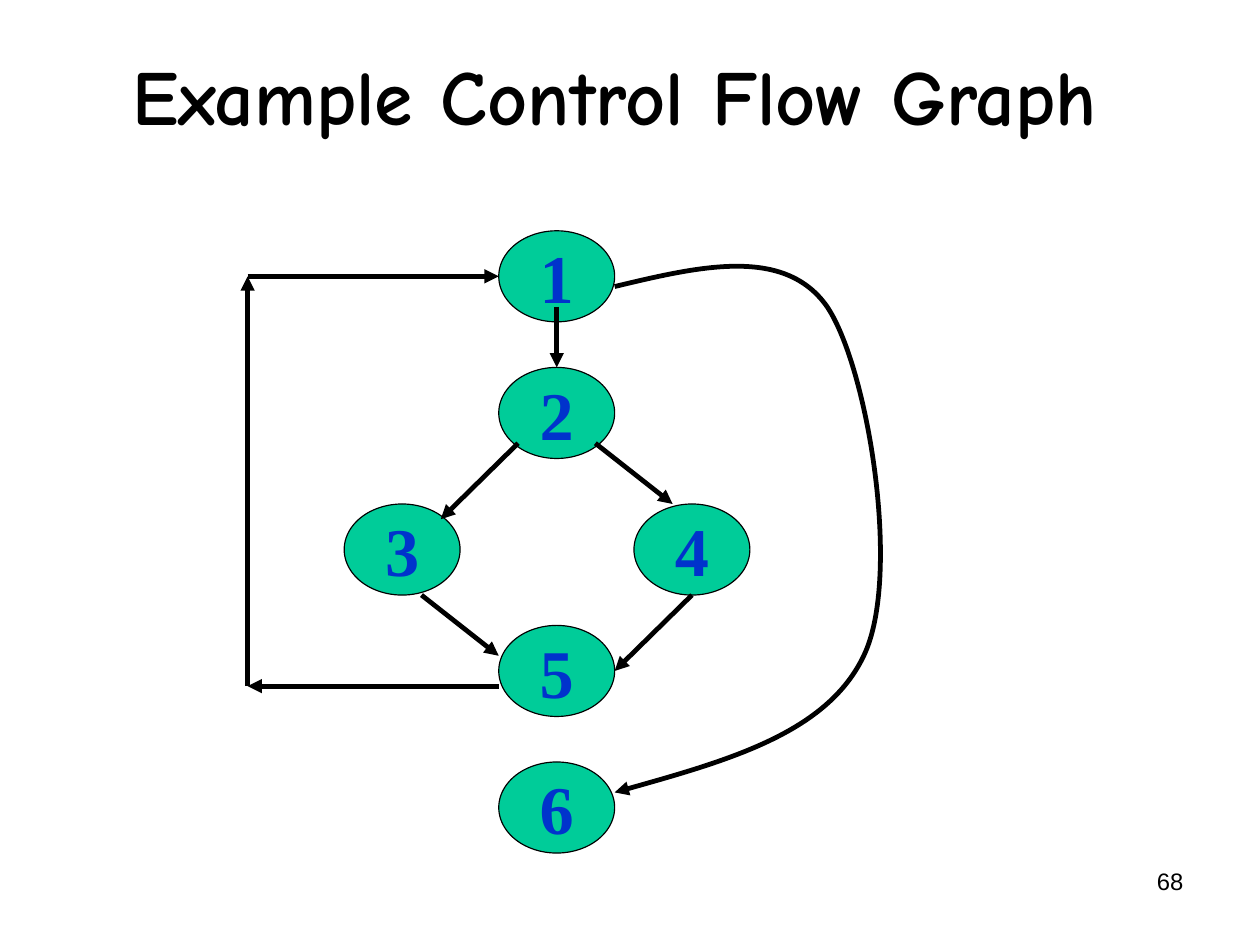
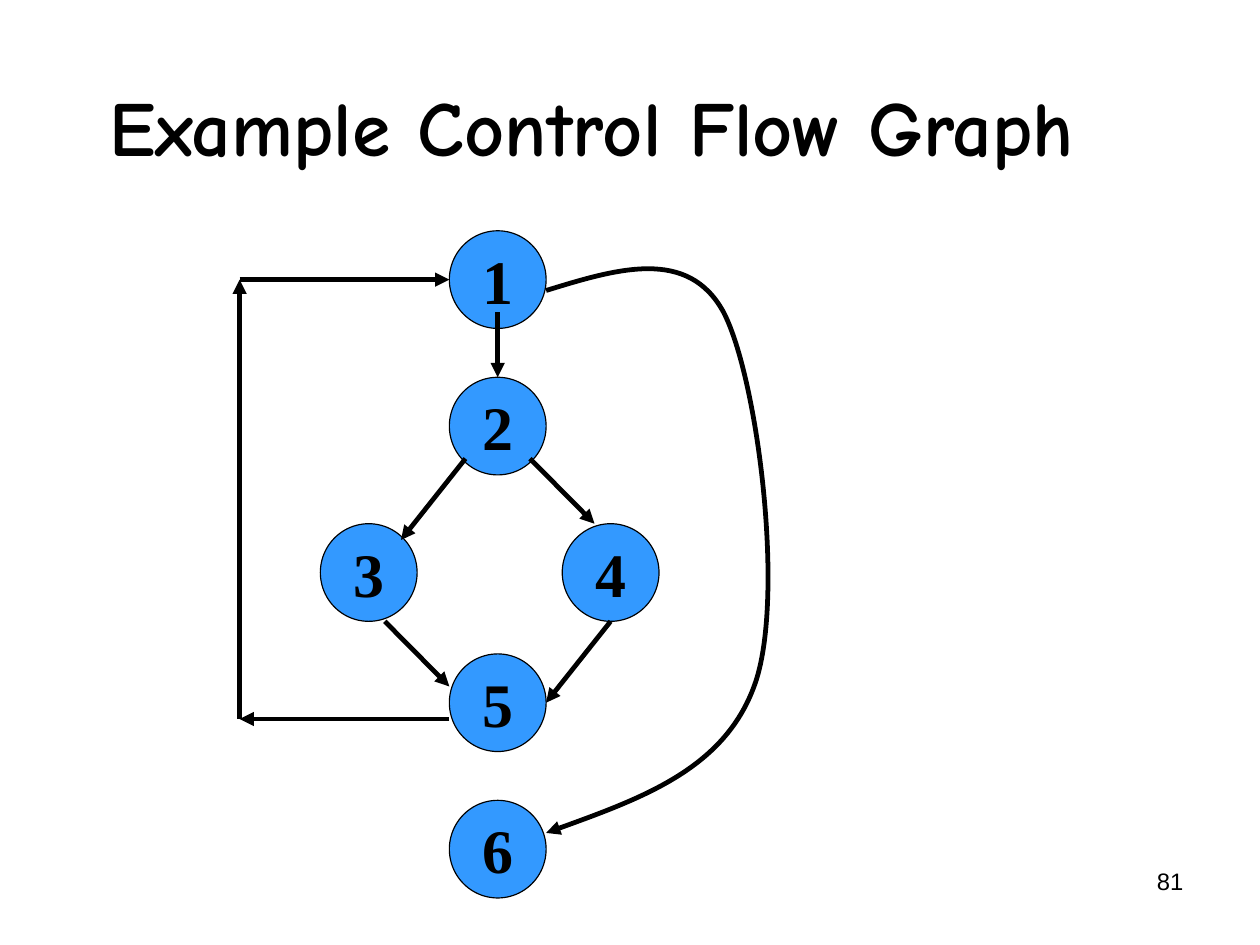
from pptx import Presentation, util as u
from pptx.dml.color import RGBColor
from pptx.enum import shapes, text
from pptx.oxml.ns import qn
from lxml import etree

BLACK = "000000"
PT = u.Pt

# Flow graph on a grid: column 0 is the loop-back line, row 0 the top of node 1
NODE = 6  # node width and height, in grid units
NODES = {"1": (13, 0), "2": (13, 9), "3": (5, 18),
         "4": (20, 18), "5": (13, 26), "6": (13, 35)}
ENTRY_EDGE = ((16, 5), (16, 9))  # from node 1 to the top of node 2
EDGES = [
    ((14, 14), (10, 19)), ((18, 14), (22, 18)),                       # branch
    ((9, 24), (13, 28)), ((23, 24), (19, 29)),                        # join
    ((13, 30), (0, 30)), ((0, 30), (0, 3)), ((0, 3), (13, 3)),        # loop
]
# Start point, then two control points and an end point for each curve
EXIT_CURVE = [(19, 3.67),
              (23.4, 2.33), (27.8, 1), (30, 5),
              (32.1, 9), (33.8, 22.3), (32, 27.7),
              (30.2, 33), (24.6, 35), (19, 37)]


def color(hex_string):
    return RGBColor.from_string(hex_string)


def write(sp, content, size=15, font="Arial", fill=BLACK, bold=False,
          align=text.PP_ALIGN.CENTER, anchor=text.MSO_ANCHOR.MIDDLE,
          wrap=True, spacing=None):
    tf = sp.text_frame
    tf.word_wrap = wrap
    tf.vertical_anchor = anchor
    tf.margin_left = tf.margin_right = PT(8)
    tf.margin_top = tf.margin_bottom = PT(4)
    p = tf.paragraphs[0]
    p.alignment = align
    if spacing:
        p.line_spacing = spacing
    r = p.add_run()
    r.text = content
    r.font.size = PT(size)
    r.font.name = font
    r.font.bold = bold
    r.font.color.rgb = color(fill)


def add_text(s, box, content, **fmt):
    write(s.shapes.add_textbox(*map(PT, box)), content, **fmt)


def style_arrow(sp):
    sp.line.color.rgb = color(BLACK)
    sp.line.width = PT(3)
    ln = sp.element.spPr.find(qn("a:ln"))
    etree.SubElement(ln, qn("a:tailEnd"), type="triangle")


def add_arrow(s, start, end):
    sp = s.shapes.add_connector(shapes.MSO_CONNECTOR.STRAIGHT, *start, *end)
    style_arrow(sp)
    etree.SubElement(sp.element.spPr, qn("a:effectLst"))
    return sp


def add_curve(s, points):
    """Arrow along cubic curves through every third point."""
    builder = s.shapes.build_freeform(*points[0])
    builder.add_line_segments(points[1:], close=False)
    sp = builder.convert_to_shape()
    sp.shadow.inherit = False
    sp.fill.background()
    style_arrow(sp)
    # Gather each three line segments into one cubic segment
    segments = list(sp.element.iter(qn("a:lnTo")))
    outline = segments[0].getparent()
    for i in range(0, len(segments), 3):
        bezier = etree.SubElement(outline, qn("a:cubicBezTo"))
        for segment in segments[i:i + 3]:
            bezier.append(segment[0])
            outline.remove(segment)


def add_node(s, label, position, size, fill, font_size, font_color):
    sp = s.shapes.add_shape(shapes.MSO_SHAPE.OVAL, *position, *size)
    sp.shadow.inherit = False
    sp.fill.solid()
    sp.fill.fore_color.rgb = color(fill)
    sp.line.color.rgb = color(BLACK)
    sp.line.width = PT(0.75)
    write(sp, label, size=font_size, font="Times New Roman",
          fill=font_color, bold=True, wrap=False)
    return sp


def add_graph(s, origin, unit, **node_style):
    def place(point):
        return tuple(PT(o + n * d) for o, n, d in zip(origin, point, unit))

    size = [PT(NODE * d) for d in unit]
    nodes = {label: add_node(s, label, place(point), size, **node_style)
             for label, point in NODES.items()}
    entry = add_arrow(s, *map(place, ENTRY_EDGE))
    entry.end_connect(nodes["2"], 0)
    for edge in EDGES:
        add_arrow(s, *map(place, edge))
    add_curve(s, [place(point) for point in EXIT_CURVE])


def add_slide(prs, number, title_box):
    s = prs.slides.add_slide(prs.slide_layouts[6])
    add_text(s, (568.5, 541.8, 185, 41), number,
             align=text.PP_ALIGN.RIGHT, anchor=text.MSO_ANCHOR.TOP)
    add_text(s, title_box, "Example Control Flow Graph", size=49,
             font="Comic Neue", bold=True, spacing=0.91)
    return s


def main():
    prs = Presentation()
    prs.slide_width, prs.slide_height = PT(793.75), PT(595.25)

    # Green graph
    s = add_slide(prs, "68", (48, 13.5, 678, 99))
    add_graph(s, (156, 145.4), (12.17, 9.56),
              fill="00CC99", font_size=43, font_color="0033CC")

    # Blue graph
    s = add_slide(prs, "81", (35, 33, 675, 99))
    add_graph(s, (151, 145.4), (10.16, 10.25),
              fill="3399FF", font_size=39, font_color=BLACK)

    prs.save("out.pptx")


if __name__ == "__main__":
    main()
